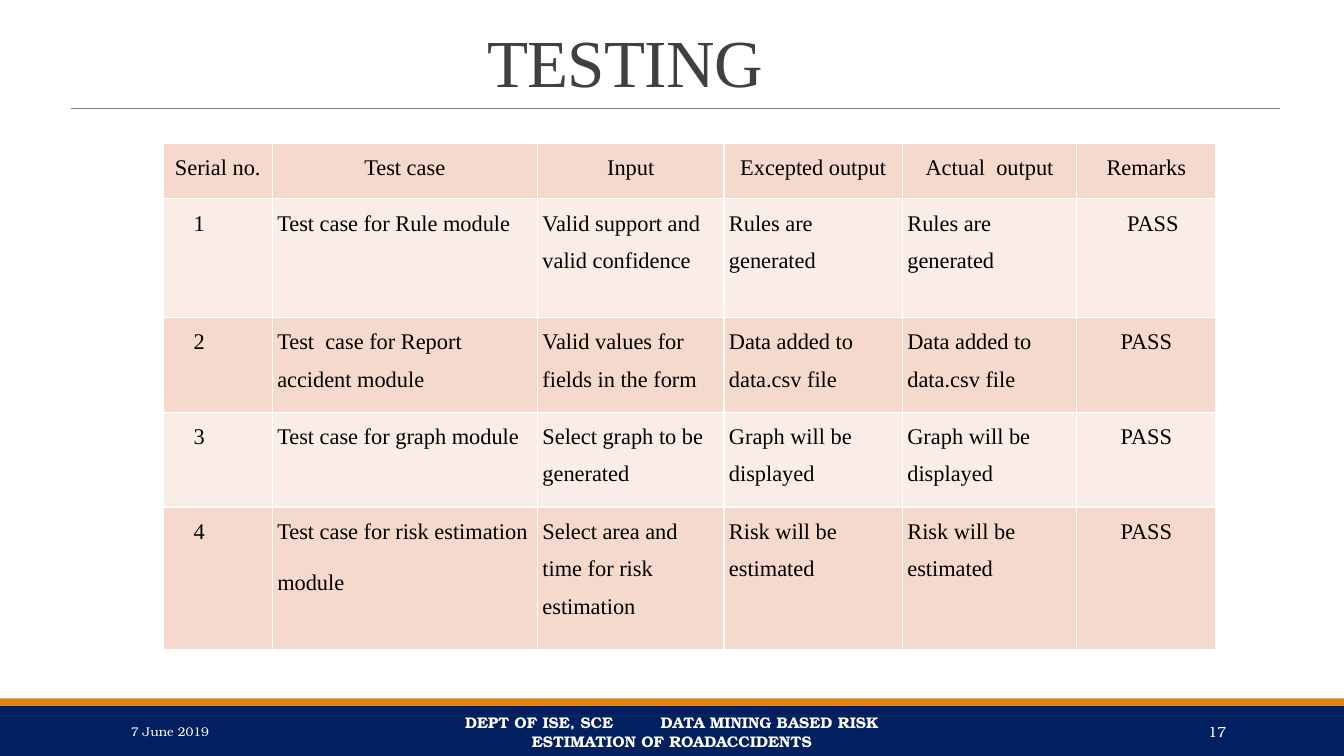
from lxml import etree
from pptx import Presentation
from pptx.dml.color import RGBColor
from pptx.enum.shapes import MSO_CONNECTOR, MSO_SHAPE
from pptx.enum.text import MSO_ANCHOR, MSO_AUTO_SIZE, PP_ALIGN
from pptx.oxml.ns import qn
from pptx.util import Inches, Pt

SERIF, FOOTER_FONT = "Times New Roman", "TeX Gyre Bonum"
NAVY, ORANGE, WHITE, BLACK = "002060", "E48312", "FFFFFF", "000000"
TITLE_GREY, RULE_GREY = "404040", "808080"
BAND_DARK, BAND_LIGHT = "F5D9CC", "FAEDE7"
LEFT, CENTER, RIGHT = PP_ALIGN.LEFT, PP_ALIGN.CENTER, PP_ALIGN.RIGHT


def rgb(hex_code):
    """Turn a hex string into a colour."""
    return RGBColor.from_string(hex_code)


class SlideBuilder:
    """Holds the slide and the way its elements are styled."""

    def __init__(self, slide):
        self.slide = slide
        self.shapes = slide.shapes

    def run(self, paragraph, text, size, font, color, bold=False, spacing=0):
        """Add a styled run; spacing is the letter spacing in points."""
        run = paragraph.add_run()
        run.text = text
        run.font.size, run.font.name, run.font.bold = Pt(size), font, bold
        run.font.color.rgb = rgb(color)
        if spacing:
            run.font._element.set("spc", str(int(spacing * 100)))

    def title(self, text, box):
        """Place and format the title placeholder."""
        title = self.shapes.title
        title.left, title.top, title.width, title.height = map(Inches, box)
        frame = title.text_frame
        frame.auto_size = MSO_AUTO_SIZE.NONE
        frame.vertical_anchor = MSO_ANCHOR.BOTTOM
        paragraph = frame.paragraphs[0]
        paragraph.alignment, paragraph.line_spacing = CENTER, 0.85
        self.run(paragraph, text, 48, SERIF, TITLE_GREY, spacing=-0.5)

    def bar(self, top, height, color):
        """Draw a full-width bar."""
        bar = self.shapes.add_shape(MSO_SHAPE.RECTANGLE, 0, Inches(top),
                                    Inches(13.33), Inches(height))
        bar.shadow.inherit = False
        bar.fill.solid()
        bar.fill.fore_color.rgb = rgb(color)
        bar.line.fill.background()

    def rule(self, left, right, y):
        """Draw a thin horizontal line."""
        line = self.shapes.add_connector(MSO_CONNECTOR.STRAIGHT, Inches(left),
                                         Inches(y), Inches(right), Inches(y))
        line.line.color.rgb = rgb(RULE_GREY)
        line.line.width = Pt(0.5)
        etree.SubElement(line._element.spPr, qn("a:effectLst"))

    def footer(self, left, width, parts, size, align, bold=False):
        """Add a footer text; parts are (text, letter spacing) pairs."""
        box = self.shapes.add_textbox(Inches(left), Inches(7.06),
                                      Inches(width), Inches(0.4))
        frame = box.text_frame
        frame.word_wrap = True
        frame.vertical_anchor = MSO_ANCHOR.MIDDLE
        frame.paragraphs[0].alignment = align
        for text, spacing in parts:
            self.run(frame.paragraphs[0], text, size, FOOTER_FONT, WHITE, bold, spacing)

    def table(self, left, top, widths, heights, rows):
        """Add a banded table with a centred header row."""
        frame = self.shapes.add_table(len(rows), len(widths), Inches(left), Inches(top),
                                      Inches(sum(widths)), Inches(sum(heights)))
        table = frame.table
        table.first_row = table.horz_banding = False
        for column, width in zip(table.columns, widths):
            column.width = Inches(width)
        for row, height in zip(table.rows, heights):
            row.height = Inches(height)
        for r, texts in enumerate(rows):
            for c, text in enumerate(texts):
                align, indent = LEFT, 0
                if r == 0 or (c == len(widths) - 1 and r > 1):
                    align = CENTER
                elif c == 0:
                    indent = 0.25
                elif c == len(widths) - 1:
                    indent = 0.45
                self.cell(table.cell(r, c), text, align, indent,
                          BAND_LIGHT if r % 2 else BAND_DARK)

    def cell(self, cell, text, align, indent, fill):
        """Fill one cell, one paragraph for each line of its text."""
        cell.margin_left = cell.margin_right = Inches(0.05)
        cell.margin_top = cell.margin_bottom = 0
        for i, line in enumerate(text.split("\n")):
            frame = cell.text_frame
            paragraph = frame.add_paragraph() if i else frame.paragraphs[0]
            paragraph.alignment = align
            paragraph.line_spacing, paragraph.space_after = 1.5, Pt(10)
            if indent:
                properties = paragraph._p.get_or_add_pPr()
                properties.set("marL", str(Inches(indent)))
                properties.set("indent", "0")
            self.run(paragraph, line, 16, SERIF, BLACK)
        self.borders(cell)
        cell.fill.solid()
        cell.fill.fore_color.rgb = rgb(fill)

    def borders(self, cell):
        """Give a cell white borders on all sides."""
        properties = cell._tc.get_or_add_tcPr()
        for side in ("lnL", "lnR", "lnT", "lnB"):
            line = etree.SubElement(properties, qn("a:" + side), w=str(Pt(1)))
            solid = etree.SubElement(line, qn("a:solidFill"))
            etree.SubElement(solid, qn("a:srgbClr"), val=WHITE)


TESTS = [
    ("Test case for Rule module", "Valid support and valid confidence",
     "Rules are generated"),
    ("Test  case for Report accident module", "Valid values for fields in the form",
     "Data added to data.csv file"),
    ("Test case for graph module", "Select graph to be generated",
     "Graph will be displayed"),
    ("Test case for risk estimation\nmodule", "Select area and time for risk estimation",
     "Risk will be estimated"),
]
HEADER = ("Serial no.", "Test case", "Input", "Excepted output", "Actual  output", "Remarks")


def main():
    """Build and save the slide."""
    deck = Presentation()
    deck.slide_width, deck.slide_height = Inches(13.33), Inches(7.5)
    page = SlideBuilder(deck.slides.add_slide(deck.slide_layouts[5]))

    page.bar(7, 0.5, NAVY)
    page.bar(6.93, 0.07, ORANGE)
    page.rule(0.7, 12.7, 1.08)
    page.title("TESTING ", (0.99, 0.26, 10.58, 0.79))

    # Every test passed, so the actual output repeats the expected one.
    rows = [HEADER] + [(str(number), case, given, output, output, "PASS")
                       for number, (case, given, output) in enumerate(TESTS, 1)]
    page.table(1.62, 1.42, [1.08, 2.63, 1.85, 1.77, 1.73, 1.38],
               [0.55, 1.18, 0.94, 0.94, 1.42], rows)

    page.footer(1.2, 2.7, [("7 June 2019", 0)], 9, LEFT)
    page.footer(4.03, 5.27, [("DEPT OF ISE, SCE", 0), (" ", 30),
                             ("DATA MINING BASED RISK ESTIMATION OF ROADACCIDENTS", 0)],
                11, CENTER, bold=True)
    page.footer(10.83, 1.43, [("17", 0)], 10.5, RIGHT)
    deck.save("out.pptx")


main()
